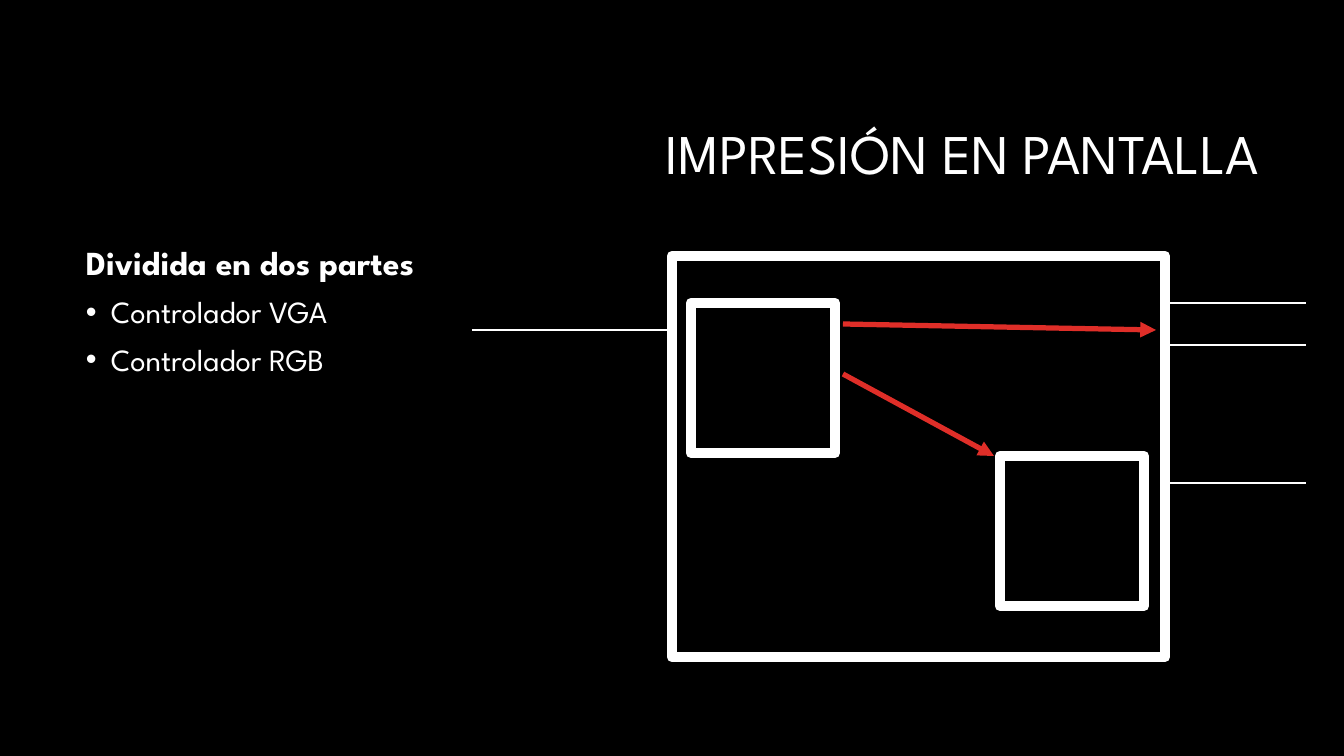
from lxml.etree import SubElement
from pptx import Presentation
from pptx.dml.color import RGBColor
from pptx.enum.shapes import MSO_CONNECTOR as Connector, MSO_SHAPE as Shape
from pptx.enum.text import MSO_ANCHOR as Anchor, PP_ALIGN as Align
from pptx.oxml.ns import qn
from pptx.util import Pt

PX = 914400 / 100.8
FONT = "League Spartan"
COLORS = {"background": "000000", "white": "FFFFFF", "signal": "DF2E28"}


def px(length):
    """Turn px into EMU."""
    return round(length * PX)


def color(name):
    """Look up a palette colour."""
    return RGBColor.from_string(COLORS[name])


def style(paragraph, size, bold=False):
    """Set the font and line spacing of a paragraph."""
    paragraph.line_spacing = 0.9
    font = paragraph.font
    font.name, font.size, font.bold = FONT, Pt(size), bold
    font.color.rgb = color("white")


def text_frame(slide, box, anchor=Anchor.TOP):
    """Add a wrapping text box and return its frame."""
    frame = slide.shapes.add_textbox(*map(px, box)).text_frame
    frame.word_wrap = True
    frame.vertical_anchor = anchor
    return frame


def add_title(slide, box, text):
    """Place the right-aligned title."""
    title = text_frame(slide, box, Anchor.MIDDLE).paragraphs[0]
    title.text = text
    title.alignment = Align.RIGHT
    style(title, 40)


def add_parts_list(slide, box, heading, parts):
    """Place a bold heading with a bulleted list below it."""
    frame = text_frame(slide, box)
    frame.paragraphs[0].text = heading
    style(frame.paragraphs[0], 24, bold=True)
    for part in parts:
        item = frame.add_paragraph()
        item.text = part
        item.space_before = Pt(10)
        properties = item._p.get_or_add_pPr()
        properties.set("marL", str(px(25)))
        properties.set("indent", str(-px(25)))
        SubElement(properties, qn("a:buFont"), typeface="Arial")
        SubElement(properties, qn("a:buChar"), char="•")
        style(item, 22)


def add_block(slide, box):
    """Draw one hollow block with rounded corners on its outline."""
    block = slide.shapes.add_shape(Shape.RECTANGLE, *map(px, box))
    block.shadow.inherit = False
    block.fill.background()
    block.line.color.rgb = color("white")
    block.line.width = Pt(7.5)
    SubElement(block._element.spPr.find(qn("a:ln")), qn("a:round"))


def add_wire(slide, start, end, name="white", width=1.25, arrow=False):
    """Draw a straight line, with an arrowhead at its end if asked."""
    wire = slide.shapes.add_connector(Connector.STRAIGHT, *map(px, start + end))
    wire.line.color.rgb = color(name)
    wire.line.width = Pt(width)
    properties = wire._element.spPr
    if arrow:
        SubElement(properties.find(qn("a:ln")), qn("a:tailEnd"), type="triangle")
    SubElement(properties, qn("a:effectLst"))


def add_diagram(slide, box):
    """Draw the display module with its two controllers, signals and pins."""
    left, top, width, height = box
    right = left + width
    add_block(slide, box)
    for x, y in ((19, 47), (328, 200)):
        add_block(slide, (left + x, top + y, 144, 150))

    for start, end in (((171, 118), (322, 200)), ((171, 68), (484, 74))):
        add_wire(slide, (left + start[0], top + start[1]),
                 (left + end[0], top + end[1]), "signal", 3.75, arrow=True)

    add_wire(slide, (left - 200, top + 74), (left, top + 74))
    for y in (47, 89, 227):
        add_wire(slide, (right, top + y), (right + 141, top + y))


def main():
    """Build and save the slide."""
    deck = Presentation()
    deck.slide_width, deck.slide_height = px(1344), px(756)
    slide = deck.slides.add_slide(deck.slide_layouts[6])
    background = slide.background.fill
    background.solid()
    background.fore_color.rgb = color("background")

    add_title(slide, (320, 85, 949, 142), "IMPRESIÓN EN PANTALLA")
    add_parts_list(slide, (76, 242, 1192, 444), "Dividida en dos partes",
                   ("Controlador VGA", "Controlador RGB"))
    add_diagram(slide, (672, 256, 493, 401))
    deck.save("out.pptx")


if __name__ == "__main__":
    main()
